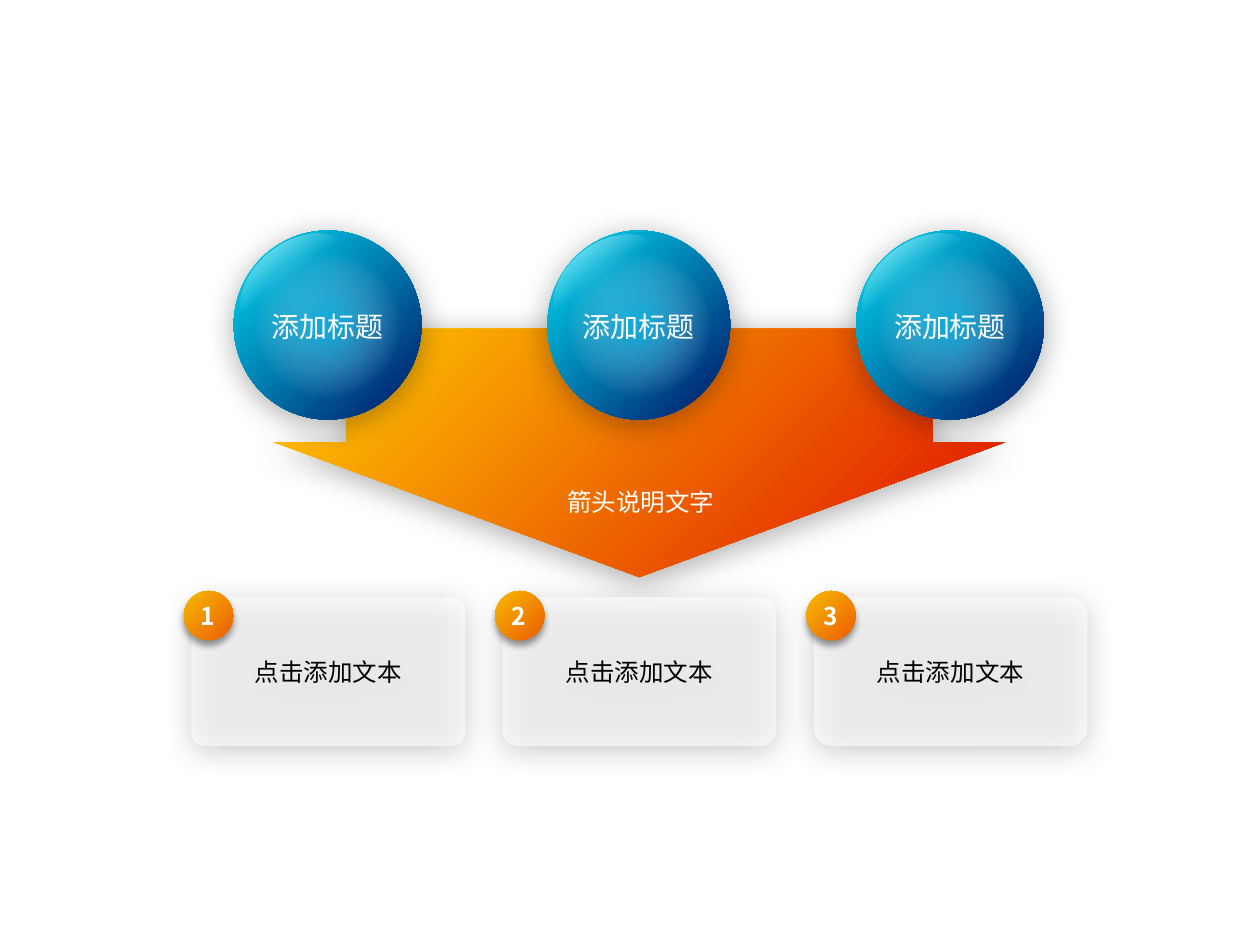
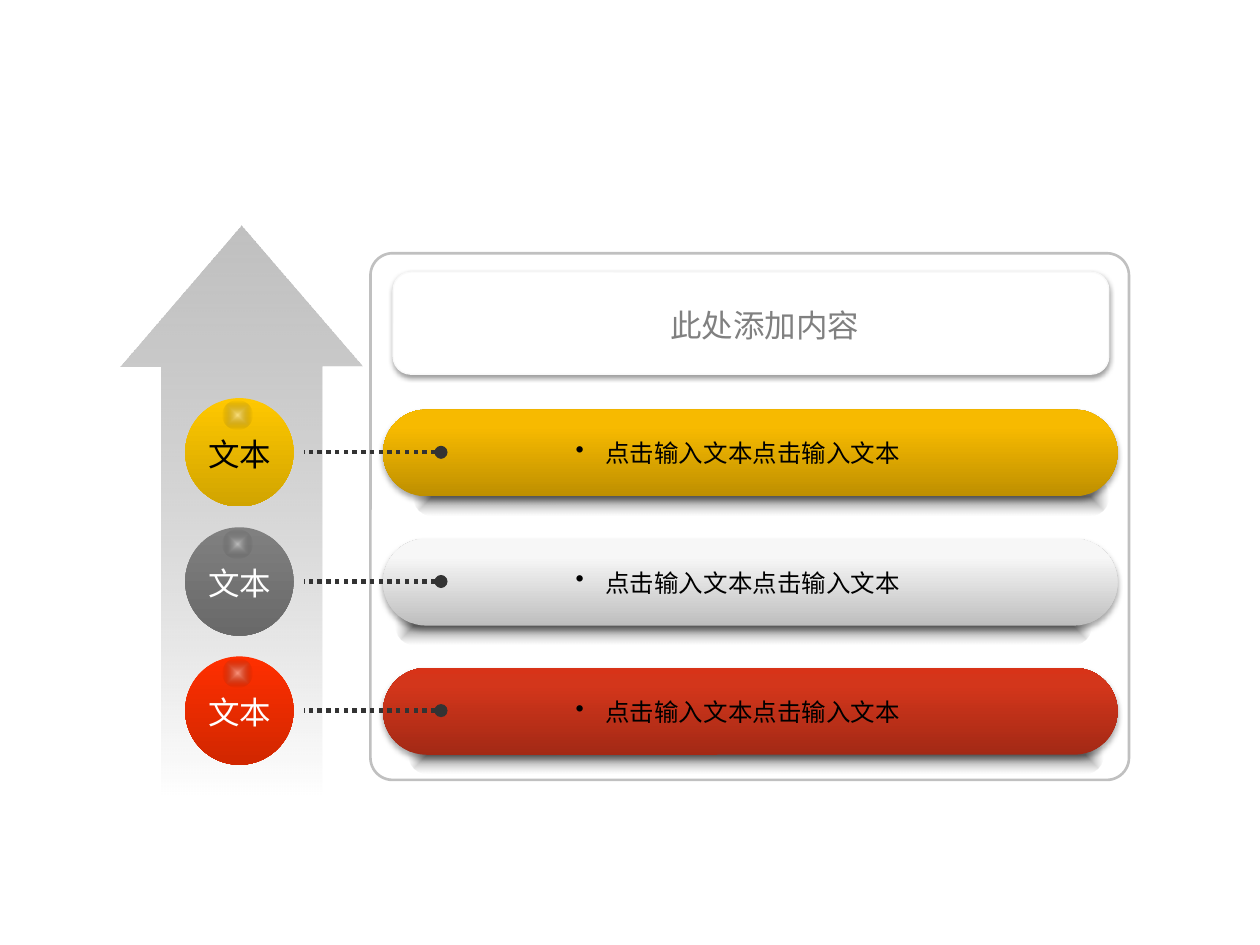
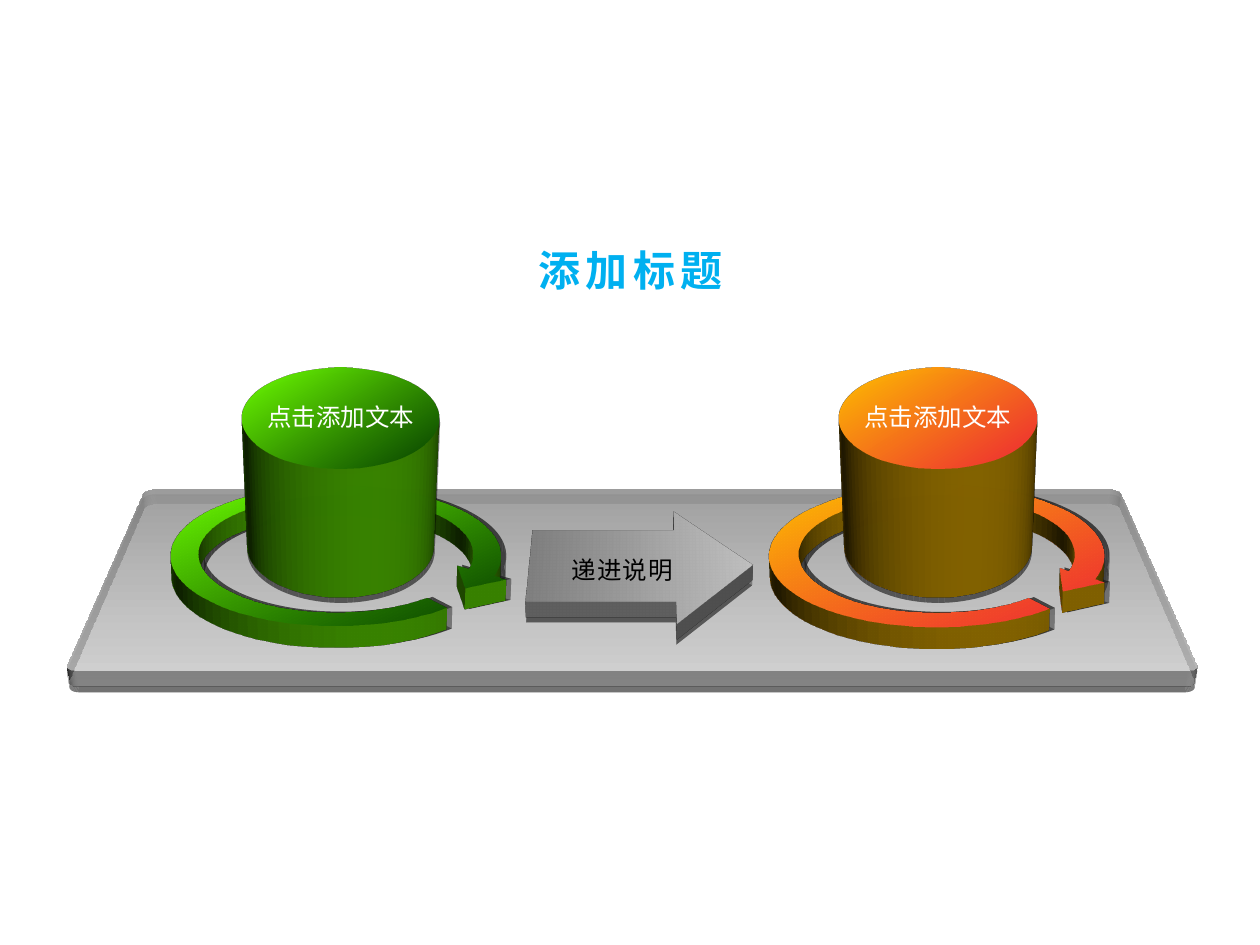
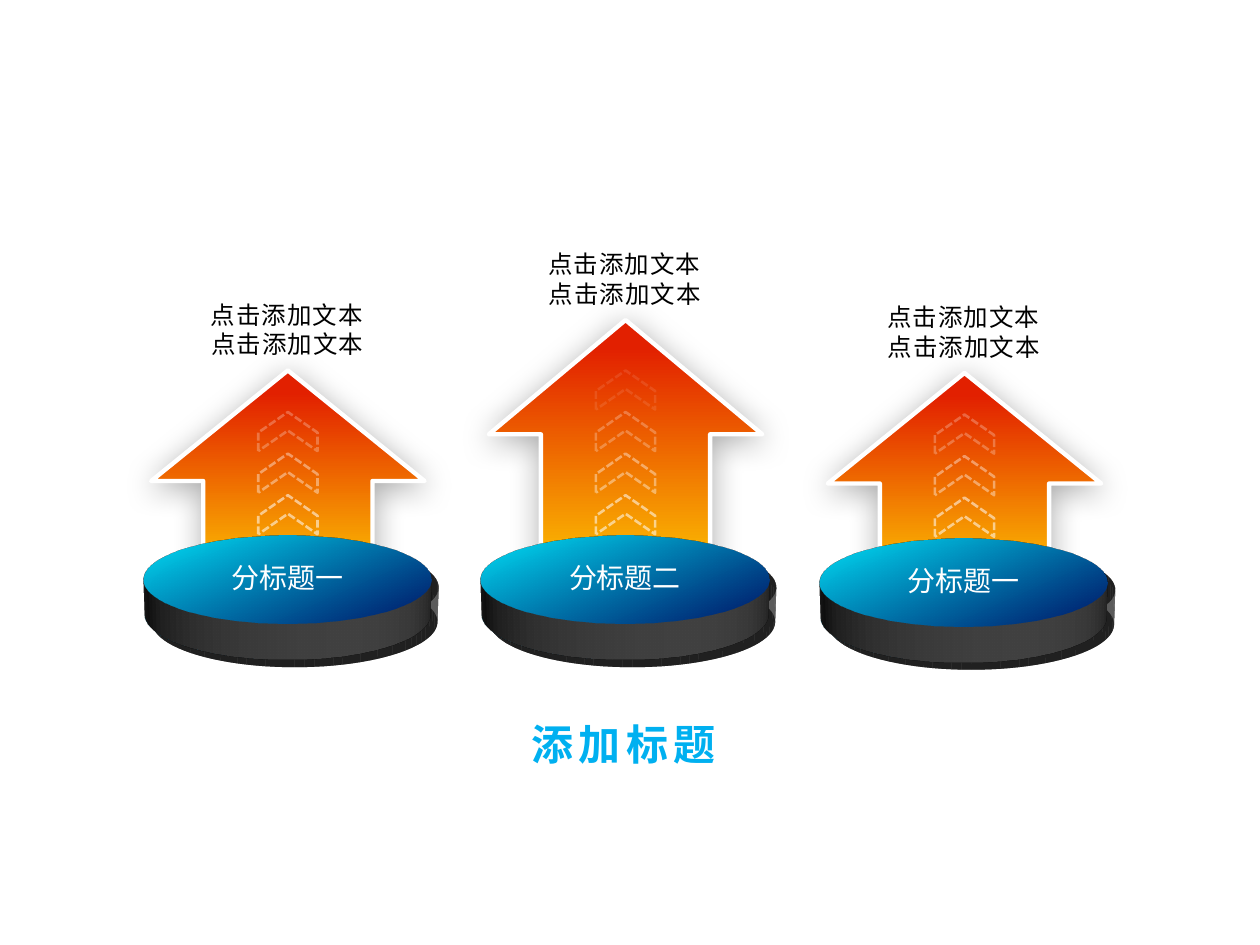
from lxml import etree
from pptx import Presentation
from pptx import util as u
from pptx.dml.color import RGBColor
from pptx.enum import shapes, text
from pptx.oxml import parse_xml
from pptx.oxml.ns import nsdecls, qn

BLACK = RGBColor(0x00, 0x00, 0x00)
WHITE = RGBColor(0xFF, 0xFF, 0xFF)
GREY = RGBColor(0x80, 0x80, 0x80)
SILVER = RGBColor(0xC0, 0xC0, 0xC0)
NEAR_WHITE = RGBColor(0xF9, 0xF9, 0xF9)
CHARCOAL = RGBColor(0x33, 0x33, 0x33)
DARK = RGBColor(0x3B, 0x3B, 0x3B)
SMOKE = RGBColor(0x6C, 0x6C, 0x6C)
STEEL = RGBColor(0xA6, 0xA6, 0xA6)
MIST = RGBColor(0xD9, 0xD9, 0xD9)
PALE = RGBColor(0xBF, 0xBF, 0xBF)
CYAN = RGBColor(0x00, 0xDF, 0xF6)
NAVY = RGBColor(0x00, 0x27, 0x74)
GLOW_BLUE = RGBColor(0x2D, 0xD7, 0xFF)
TITLE_BLUE = RGBColor(0x00, 0xB0, 0xF0)
YELLOW = RGBColor(0xFF, 0xCF, 0x01)
RED = RGBColor(0xE2, 0x20, 0x00)
AMBER = RGBColor(0xF6, 0xBB, 0x00)
ORANGE = RGBColor(0xED, 0x66, 0x01)
GREEN = RGBColor(0x6E, 0xFF, 0x01)
FOREST = RGBColor(0x0F, 0x50, 0x00)
GOLD = RGBColor(0xFF, 0xC0, 0x00)
CORAL = RGBColor(0xF0, 0x35, 0x30)

ARIAL = "Arial"
NOTO = "Noto Sans CJK SC"
SHAPE = shapes.MSO_SHAPE

# Gradients are lists of (position, colour, opacity)
BLUE_BALL = [(0, CYAN, 100), (90, NAVY, 100)]
WARM = [(0, YELLOW, 100), (90, RED, 100)]
BADGE = [(0, AMBER, 100), (90, ORANGE, 100)]
GLOSS = [(0, WHITE, 100), (45, WHITE, 0)]
CORE_GLOW = [(10, GLOW_BLUE, 50), (70, WHITE, 0)]
BAR_SHADE = [(0, BLACK, 50), (100, SMOKE, 0)]
GLINT = [(0, WHITE, 50), (100, BLACK, 0)]

# Shadows are (opacity, blur, distance, direction)
SOFT = (33, 17.8, 3, 87)
SMALL = (40, 4, 3, 90)
FLAT = (40, 4, 3, 0)
BAR_DROP = (35, 3.1, 1.8, 90)
PANEL_DROP = (38, 3.1, 1.6, 90)
DISC_DROP = (40, 10, 6, 45)


def draw(page, kind, left, top, width, height, fill=None, angle=45, path=None,
         line=None, dash=None, line_alpha=100, shadow=None, adjust=(), rotation=0, solid=None):
    """Add a preset shape; solid is (tilt in degrees, depth in points, side colour)."""
    shape = page.shapes.add_shape(kind, u.Inches(left), u.Inches(top),
                                  u.Inches(width), u.Inches(height))
    shape.rotation = rotation
    for index, value in enumerate(adjust):
        shape.adjustments[index] = value
    shape.shadow.inherit = False
    properties = shape.fill._xPr
    if fill is None:
        shape.fill.background()
    else:
        if len(fill) == 1:
            shape.fill.solid()
            shape.fill.fore_color.rgb = fill[0][1]
            color = properties.find(".//" + qn("a:srgbClr"))
            etree.SubElement(color, qn("a:alpha"), val=str(fill[0][2] * 1000))
        else:
            stops = "".join(
                f'<a:gs pos="{place * 1000}"><a:srgbClr val="{color}">'
                f'<a:alpha val="{alpha * 1000}"/></a:srgbClr></a:gs>'
                for place, color, alpha in fill)
            spread = f'<a:lin ang="{angle * 60000}" scaled="0"/>'
            if path:
                spread = (f'<a:path path="{path}"><a:fillToRect l="50000" t="50000" '
                          'r="50000" b="50000"/></a:path>')
            properties.find(qn("a:prstGeom")).addnext(parse_xml(
                f'<a:gradFill rotWithShape="1" {nsdecls("a")}><a:gsLst>{stops}</a:gsLst>'
                f'{spread}</a:gradFill>'))
    if line is None:
        shape.line.fill.background()
    else:
        shape.line.color.rgb, shape.line.width = line[0], u.Pt(line[1])
        if dash:
            etree.SubElement(shape.line._ln, qn("a:prstDash"), val=dash)
        color = shape.line._ln.find(".//" + qn("a:srgbClr"))
        etree.SubElement(color, qn("a:alpha"), val=str(line_alpha * 1000))
    if shadow:
        opacity, blur, distance, direction = shadow
        properties.find(qn("a:effectLst")).append(parse_xml(
            f'<a:outerShdw {nsdecls("a")} blurRad="{u.Pt(blur)}" dist="{u.Pt(distance)}" '
            f'dir="{direction * 60000}" algn="ctr" rotWithShape="0"><a:srgbClr val="000000">'
            f'<a:alpha val="{opacity * 1000}"/></a:srgbClr></a:outerShdw>'))
    if solid:
        tilt, depth, side = solid
        properties.append(parse_xml(
            f'<a:scene3d {nsdecls("a")}><a:camera prst="perspectiveRelaxed">'
            f'<a:rot lat="{round(tilt * 60000)}" lon="0" rev="0"/></a:camera>'
            '<a:lightRig rig="threePt" dir="t"/></a:scene3d>'))
        properties.append(parse_xml(
            f'<a:sp3d {nsdecls("a")} extrusionH="{u.Pt(depth)}"><a:extrusionClr>'
            f'<a:srgbClr val="{side}"/></a:extrusionClr></a:sp3d>'))
    return shape


def write(target, words, place=None, size=14, color=BLACK, font=NOTO, bold=False,
          spacing=0, bullet=False, fancy=False):
    """Write centred text into a shape, or into a new text box at place on a page."""
    box = target
    if place:
        box = target.shapes.add_textbox(*[u.Inches(length) for length in place])
    frame = box.text_frame
    frame.word_wrap = True
    if place:
        frame.auto_size = text.MSO_AUTO_SIZE.SHAPE_TO_FIT_TEXT
    else:
        frame.vertical_anchor = text.MSO_ANCHOR.MIDDLE
    para = frame.paragraphs[0]
    para.alignment = text.PP_ALIGN.CENTER
    if bullet:
        etree.SubElement(para._p.get_or_add_pPr(), qn("a:buChar"), char="•")
    span = para.add_run()
    span.text = words
    span.font.name, span.font.size, span.font.bold = font, u.Pt(size), bold
    span.font.color.rgb = color
    marks = span.font._element
    marks.find(qn("a:latin")).addnext(parse_xml(f'<a:ea {nsdecls("a")} typeface="{NOTO}"/>'))
    if spacing:
        marks.set("spc", str(round(spacing * 100)))
    if fancy:
        marks.replace(marks.find(qn("a:solidFill")), parse_xml(
            f'<a:gradFill {nsdecls("a")}><a:gsLst><a:gs pos="10000"><a:srgbClr val="{color}"/>'
            f'</a:gs><a:gs pos="75000"><a:srgbClr val="{NAVY}"/></a:gs></a:gsLst>'
            '<a:lin ang="5400000"/></a:gradFill>'))
        marks.insert(0, parse_xml(
            f'<a:ln {nsdecls("a")} w="12700"><a:solidFill><a:srgbClr val="FFF5F5"/>'
            '</a:solidFill></a:ln>'))
        marks.find(qn("a:gradFill")).addnext(parse_xml(
            f'<a:effectLst {nsdecls("a")}><a:outerShdw blurRad="38100" dist="25400" '
            f'dir="2700000"><a:srgbClr val="{color}"><a:alpha val="40000"/></a:srgbClr>'
            '</a:outerShdw></a:effectLst>'))


deck = Presentation()
deck.slide_width, deck.slide_height = u.Inches(10), u.Inches(7.5)
blank = deck.slide_layouts[6]
heading = dict(size=24, color=TITLE_BLUE, bold=True, spacing=3, fancy=True)

# Slide 1: three balls lead through an arrow to three cards
page = deck.slides.add_slide(blank)
draw(page, SHAPE.DOWN_ARROW, 2.18, 2.61, 5.79, 1.97, WARM, shadow=SOFT, adjust=(0.804, 0.542))
write(page, "箭头说明文字", (3.84, 3.82, 2.49, 0.34), color=WHITE, font=ARIAL)
for index, corner in enumerate((0.088, 0.102, 0.119)):
    left = 1.52 + 2.47 * index
    card = draw(page, SHAPE.ROUNDED_RECTANGLE, left, 4.74, 2.17, 1.18, [(0, WHITE, 60)],
                shadow=SOFT, adjust=(corner,))
    write(card, "点击添加文本")
    draw(page, SHAPE.OVAL, left - 0.06, 4.69, 0.39, 0.39, BADGE, shadow=SMALL)
    write(page, str(index + 1), (left - 0.05, 4.72, 0.36, 0.34),
          color=WHITE, bold=True, spacing=0.5)
for center, width in ((2.6, 1.49), (5.07, 1.45), (7.54, 1.49)):
    left = center - width / 2
    draw(page, SHAPE.OVAL, left, 1.83, width, 1.5, BLUE_BALL, shadow=SOFT)
    draw(page, SHAPE.OVAL, left, 1.92, width * 0.68, 0.69, GLOSS, angle=90, rotation=323.1)
    draw(page, SHAPE.OVAL, left + 0.16, 1.99, width - 0.32, 1.18, CORE_GLOW, path="circle")
    write(page, "添加标题", (center - 0.67, 2.41, 1.34, 0.37), size=16, color=WHITE)

# Slide 2: rising arrow with three levels
page = deck.slides.add_slide(blank)
draw(page, SHAPE.ROUNDED_RECTANGLE, 2.94, 2.01, 6.02, 4.18, [(0, WHITE, 25)],
     line=(SILVER, 1.5), adjust=(0.042,))
draw(page, SHAPE.UP_ARROW, 0.96, 1.79, 1.92, 4.54, [(0, GREY, 50), (100, DARK, 0)],
     angle=90, adjust=(0.663, 0.584))
levels = [  # shade left, bar colours, ball colours, label colour
    (3.28, ("BE8F00", "F7BA00", "F8BB00"), ("FFC800", "D1A400"), BLACK),
    (3.14, ("BEBEBE", "F7F7F7", "F8F8F8"), ("808080", "696969"), WHITE),
    (3.24, ("A32915", "D3361B", "D83318"), ("FF2F00", "D12700"), WHITE),
]
for index, (shade_left, bar_colors, ball_colors, label_color) in enumerate(levels):
    top = 3.25 + 1.025 * index
    bar_fill = [(place, RGBColor.from_string(color), 100)
                for place, color in zip((0, 80, 100), bar_colors)]
    ball_fill = [(place, RGBColor.from_string(color), 100)
                 for place, color in zip((0, 100), ball_colors)]
    draw(page, SHAPE.ROUNDED_RECTANGLE, shade_left, top + 0.54, 5.52, 0.3, BAR_SHADE,
         path="shape", adjust=(0.5,))
    draw(page, SHAPE.ROUNDED_RECTANGLE, 3.04, top, 5.83, 0.69, bar_fill, angle=270,
         shadow=BAR_DROP, adjust=(0.5,))
    draw(page, SHAPE.OVAL, 1.47, top - 0.09, 0.86, 0.86, ball_fill, angle=90)
    draw(page, SHAPE.OVAL, 1.77, top - 0.07, 0.23, 0.23, GLINT, path="shape")
    link = page.shapes.add_connector(shapes.MSO_CONNECTOR.STRAIGHT, u.Inches(3.5),
                                     u.Inches(top + 0.34), u.Inches(2.41), u.Inches(top + 0.34))
    link.line.color.rgb, link.line.width = CHARCOAL, u.Pt(2.5)
    etree.SubElement(link.line._ln, qn("a:prstDash"), val="sysDot")
    etree.SubElement(link.line._ln, qn("a:headEnd"), type="oval")
    etree.SubElement(link._element.spPr, qn("a:effectLst"))
    write(page, "文本", (1.54, top + 0.15, 0.73, 0.4), size=18, color=label_color, font=ARIAL)
    write(page, "点击输入文本点击输入文本", (3.75, top + 0.18, 4.38, 0.34), font=ARIAL, bullet=True)
draw(page, SHAPE.ROUNDED_RECTANGLE, 3.12, 2.16, 5.68, 0.81, [(0, WHITE, 100)],
     line=(NEAR_WHITE, 0.75), shadow=PANEL_DROP, adjust=(0.174,))
write(page, "此处添加内容", (5.03, 2.38, 2.08, 0.4), size=18, color=GREY, font=ARIAL)

# Slide 3: two cylinders on a board
page = deck.slides.add_slide(blank)
draw(page, SHAPE.ROUNDED_RECTANGLE, 0.88, 3.11, 8.27, 2.87, [(0, STEEL, 50), (100, MIST, 50)],
     angle=90, shadow=SOFT, adjust=(0.031,), solid=(300, 10, MIST))
write(page, "添加标题", (2.94, 1.89, 4.13, 0.5), **heading)
draw(page, SHAPE.RIGHT_ARROW, 4.2, 3.6, 1.77, 1.77, [(0, GREY, 100), (100, PALE, 100)],
     angle=0, shadow=SOFT, adjust=(0.637, 0.348), solid=(300, 10, PALE))
write(page, "递进说明", (4.2, 4.36, 1.48, 0.34), spacing=0.5)
stations = [  # ring left, cylinder left, colours, ring adjustments
    (1.25, 1.92, GREEN, FOREST, (0.078, 9.101, 11.705, 30.319, 0.078)),
    (6.02, 6.66, GOLD, CORAL, (0.083, 9.56, 13.092, 30.319, 0.074)),
]
for ring_left, left, light, deep, ring_adjust in stations:
    fill = [(0, light, 100), (90, deep, 100)]
    draw(page, SHAPE.CIRCULAR_ARROW, ring_left, 2.95, 2.83, 2.83, fill, shadow=FLAT,
         adjust=ring_adjust, solid=(295, 13, light))
    draw(page, SHAPE.OVAL, left, 2.68, 1.57, 1.26, fill, shadow=SOFT, solid=(309.6, 100, light))
    write(page, "点击添加文本", (left - 0.13, 3.14, 1.83, 0.34), color=WHITE)

# Slide 4: three arrows rising from discs
page = deck.slides.add_slide(blank)
write(page, "添加标题", (2.5, 5.65, 4.9, 0.5), **heading)
columns = [  # left, arrow top, arrow height, head share, drop, title
    (1.2, 2.94, 1.77, 0.496, 0, "分标题一"),
    (3.88, 2.54, 2.17, 0.418, 0, "分标题二"),
    (6.57, 2.96, 1.77, 0.496, 0.02, "分标题一"),
]
for left, top, height, head, drop, title in columns:
    draw(page, SHAPE.UP_ARROW, left, top, 2.17, height, WARM, angle=270, line=(WHITE, 2.5),
         shadow=SOFT, adjust=(0.619, head))
    chevrons = 4 if height > 2 else 3
    for step in range(chevrons):
        draw(page, SHAPE.CHEVRON, left + 0.93, 3.85 + drop - 0.33 * step, 0.31, 0.47,
             line=(WHITE, 1.5), dash="sysDash", line_alpha=55 - 15 * step,
             adjust=(0.525,), rotation=270)
    write(page, "点击添加文本点击添加文本", (left + 0.3, top - 0.61, 1.56, 0.57), spacing=0.5)
    draw(page, SHAPE.OVAL, left - 0.06, 3.76 + drop, 2.28, 1.65, BLUE_BALL, line=(WHITE, 2),
         shadow=DISC_DROP, solid=(295, 22, GREY))
    write(page, title, (left + 0.23, 4.4 + drop, 1.7, 0.37), size=16, color=WHITE)

deck.save("out.pptx")
